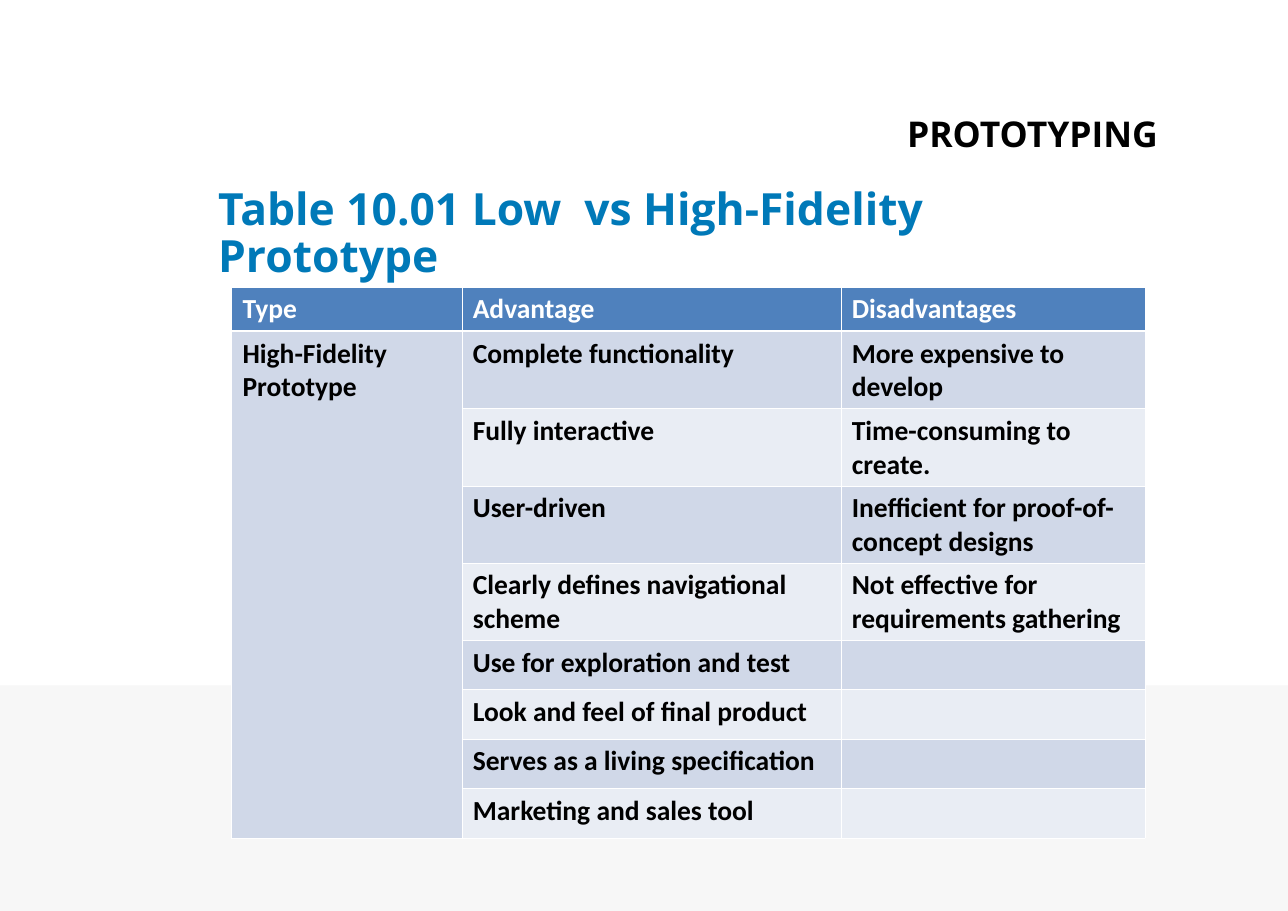
from dataclasses import dataclass

from lxml import etree
from pptx import Presentation
from pptx import util as u
from pptx.dml.color import RGBColor
from pptx.enum import shapes, text
from pptx.oxml import ns

WHITE = RGBColor(0xFF, 0xFF, 0xFF)
BLACK = RGBColor(0x00, 0x00, 0x00)
GREY = RGBColor(0xF7, 0xF7, 0xF7)
AZURE = RGBColor(0x00, 0x79, 0xB8)
BLUE = RGBColor(0x4F, 0x81, 0xBD)
BANDS = (RGBColor(0xE9, 0xED, 0xF4), RGBColor(0xD0, 0xD8, 0xE8))
THIN, THICK = u.Pt(0.45), u.Pt(1.47)
HEAD, TALL, SHORT = u.Cm(1.02), u.Cm(1.78), u.Cm(1.14)
WIDTHS = (u.Cm(5.31), u.Cm(8.74), u.Cm(7.01))


@dataclass
class Row:
    height: int
    gain: str
    flaw: str = ""
    kind: str = ""


ROWS = (
    Row(HEAD, "Advantage", "Disadvantages", "Type"),
    Row(TALL, "Complete functionality", "More expensive to develop", "High-Fidelity\nPrototype"),
    Row(TALL, "Fully interactive", "Time-consuming to create."),
    Row(TALL, "User-driven", "Inefficient for proof-of-concept designs"),
    Row(TALL, "Clearly defines navigational scheme", "Not effective for requirements gathering"),
    Row(SHORT, "Use for exploration and test"),
    Row(SHORT, "Look and feel of final product"),
    Row(SHORT, "Serves as a living specification"),
    Row(SHORT, "Marketing and sales tool"),
)


def style(part, name: str, size: float, color: RGBColor) -> None:
    font = part.font
    font.name, font.size, font.bold = name, u.Pt(size), True
    font.color.rgb = color


def inset(frame) -> None:
    frame.margin_left = frame.margin_right = u.Cm(0.28)
    frame.margin_top = frame.margin_bottom = u.Cm(0.15)


def edge(cell, side: str, width: int) -> None:
    props = cell._tc.get_or_add_tcPr()
    line = etree.SubElement(props, ns.qn(f"a:ln{side}"), w=str(int(width)))
    fill = etree.SubElement(line, ns.qn("a:solidFill"))
    etree.SubElement(fill, ns.qn("a:srgbClr"), val=str(WHITE))


def fill_cell(cell, words: str, index: int) -> None:
    cell.text = words
    for para in cell.text_frame.paragraphs:
        style(para, "Calibri", 18, BLACK if index else WHITE)
    edge(cell, "L", THIN)
    edge(cell, "R", THIN)
    edge(cell, "T", THICK if index == 1 else THIN)
    edge(cell, "B", THIN if index else THICK)
    cell.fill.solid()
    cell.fill.fore_color.rgb = BANDS[index % 2] if index else BLUE


def add_base(slide) -> None:
    base = slide.shapes.add_shape(
        shapes.MSO_SHAPE.RECTANGLE, 0, u.Cm(15.8), u.Cm(29.7), u.Cm(5.2))
    base.shadow.inherit = False
    base.fill.solid()
    base.fill.fore_color.rgb = GREY
    base.line.fill.background()


def add_title(slide) -> None:
    title = slide.shapes.title
    title.left, title.top = u.Cm(4.75), u.Cm(4.19)
    title.width, title.height = u.Cm(22.15), u.Cm(2.44)
    frame = title.text_frame
    frame.text = "Table 10.01 Low  vs High-Fidelity Prototype"
    frame.word_wrap = True
    frame.auto_size = text.MSO_AUTO_SIZE.NONE
    frame.vertical_anchor = text.MSO_ANCHOR.MIDDLE
    inset(frame)
    para = frame.paragraphs[0]
    para.alignment = text.PP_ALIGN.LEFT
    para.line_spacing = 0.88
    style(para, "Open Sans", 29, AZURE)


def add_topic(slide) -> None:
    box = slide.shapes.add_textbox(u.Cm(20.55), u.Cm(2.26), u.Cm(6.43), u.Cm(1.98))
    frame = box.text_frame
    frame.word_wrap = False
    frame.auto_size = text.MSO_AUTO_SIZE.SHAPE_TO_FIT_TEXT
    inset(frame)
    para = frame.paragraphs[0]
    para.alignment = text.PP_ALIGN.RIGHT
    run = para.add_run()
    run.text = "PROTOTYPING"
    style(para, "Open Sans", 40, BLACK)
    run.font._element.set("baseline", "30000")


def add_grid(slide) -> None:
    grid = slide.shapes.add_table(
        len(ROWS), len(WIDTHS), u.Cm(5.34), u.Cm(6.62),
        sum(WIDTHS), sum(row.height for row in ROWS)).table
    grid.first_row = grid.horz_banding = False
    for col, width in zip(grid.columns, WIDTHS):
        col.width = width
    for index, row in enumerate(ROWS):
        grid.rows[index].height = row.height
        for place, words in enumerate((row.kind, row.gain, row.flaw)):
            fill_cell(grid.cell(index, place), words, index)
    grid.cell(1, 0).merge(grid.cell(len(ROWS) - 1, 0))


def main() -> None:
    deck = Presentation()
    deck.slide_width, deck.slide_height = u.Cm(29.7), u.Cm(21)
    slide = deck.slides.add_slide(deck.slide_layouts[5])
    add_base(slide)
    add_title(slide)
    add_topic(slide)
    add_grid(slide)
    deck.save("out.pptx")


if __name__ == "__main__":
    main()
